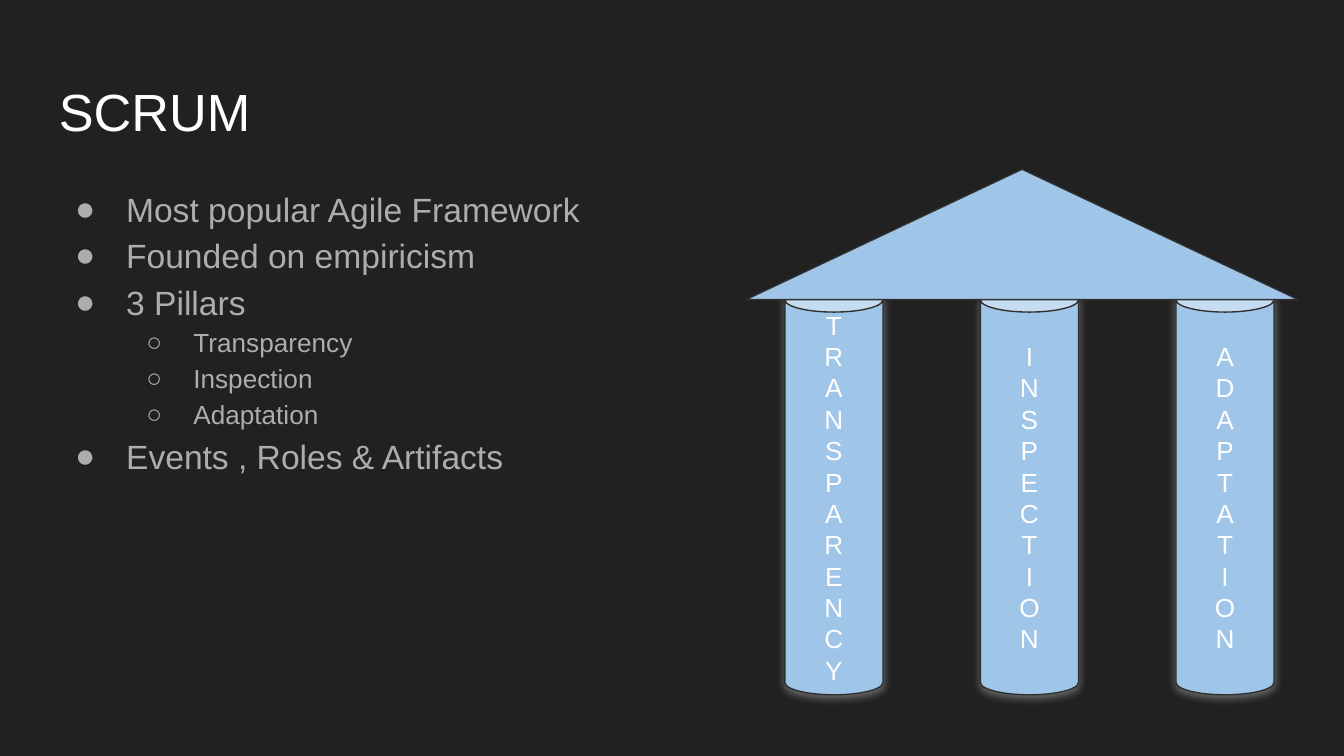
from lxml import etree
from pptx import Presentation, util as u
from pptx.dml.color import RGBColor
from pptx.enum import shapes, text
from pptx.oxml import ns

Inches = u.Inches
COLORS = {"background": "212121", "title": "FFFFFF", "body": "ADADAD",
          "pillar": "9FC5E8", "outline": "303030", "glow": "B7B7B7"}


def write_lines(shape, lines, color, sizes):
    """Fill a shape with one paragraph per line, each at its own point size."""
    frame = shape.text_frame
    frame.word_wrap = True
    frame.margin_left = frame.margin_right = Inches(0.1)
    frame.margin_top = frame.margin_bottom = Inches(0.1)
    frame.text = "\n".join(lines)
    for para, size in zip(frame.paragraphs, sizes):
        font = para.runs[0].font
        font.name = "Arial"
        font.size = u.Pt(size)
        font.color.rgb = RGBColor.from_string(COLORS[color])
    return frame


def add_temple_part(kind, left, top, width, height):
    part = slide.shapes.add_shape(kind, Inches(left), Inches(top), Inches(width), Inches(height))
    part.shadow.inherit = False
    part.fill.solid()
    part.fill.fore_color.rgb = RGBColor.from_string(COLORS["pillar"])
    part.line.color.rgb = RGBColor.from_string(COLORS["outline"])
    part.line.width = u.Pt(0.75)
    return part


deck = Presentation()
deck.slide_width, deck.slide_height = Inches(10), Inches(10 * 9 / 16)
slide = deck.slides.add_slide(deck.slide_layouts[6])
slide.background.fill.solid()
slide.background.fill.fore_color.rgb = RGBColor.from_string(COLORS["background"])

title = slide.shapes.add_textbox(Inches(0.34), Inches(0.49), Inches(9.32), Inches(0.63))
write_lines(title, ["SCRUM"], "title", [28])

# Bulleted list: (text, level)
points = [("Most popular Agile Framework", 0), ("Founded on empiricism", 0),
          ("3 Pillars", 0), ("Transparency", 1), ("Inspection", 1),
          ("Adaptation", 1), ("Events , Roles & Artifacts", 0)]
# Per level: text size, left margin, hanging indent, bullet
levels = [(18, 0.5, -0.38, "●"), (14, 1, -0.35, "○")]
body = slide.shapes.add_textbox(Inches(0.34), Inches(1.26), Inches(9.32), Inches(3.78))
frame = write_lines(body, [point for point, level in points], "body",
                    [levels[level][0] for point, level in points])
for para, (point, level) in zip(frame.paragraphs, points):
    size, margin, indent, bullet = levels[level]
    para.level = level
    para.line_spacing = 1.15
    props = para._p.get_or_add_pPr()
    props.set("marL", str(Inches(margin)))
    props.set("indent", str(Inches(indent)))
    bullet_color = etree.SubElement(props, ns.qn("a:buClr"))
    etree.SubElement(bullet_color, ns.qn("a:srgbClr"), val=COLORS["body"])
    etree.SubElement(props, ns.qn("a:buFont"), typeface="Arial")
    etree.SubElement(props, ns.qn("a:buChar"), char=bullet)

# Pillars, one letter per line, with a soft glow below
first_left, last_left = 5.84, 8.75
pillar_step = (last_left - first_left) / 2
for index, word in enumerate(["TRANSPARENCY", "INSPECTION", "ADAPTATION"]):
    pillar = add_temple_part(shapes.MSO_SHAPE.CAN, first_left + index * pillar_step,
                             2.14, 0.73, 3.03)
    pillar.adjustments[0] = 0.25
    frame = write_lines(pillar, word, "title", [14] * len(word))
    frame.vertical_anchor = text.MSO_ANCHOR.MIDDLE
    for para in frame.paragraphs:
        para.alignment = text.PP_ALIGN.CENTER
    effects = pillar._element.spPr.find(ns.qn("a:effectLst"))
    shadow = etree.SubElement(effects, ns.qn("a:outerShdw"), blurRad=str(u.Pt(4.5)),
                              dist=str(u.Pt(1.5)), dir="5400000", algn="bl", rotWithShape="0")
    glow = etree.SubElement(shadow, ns.qn("a:srgbClr"), val=COLORS["glow"])
    etree.SubElement(glow, ns.qn("a:alpha"), val="50000")

add_temple_part(shapes.MSO_SHAPE.ISOSCELES_TRIANGLE, 5.55, 1.26, 4.11, 0.97)

deck.save("out.pptx")
